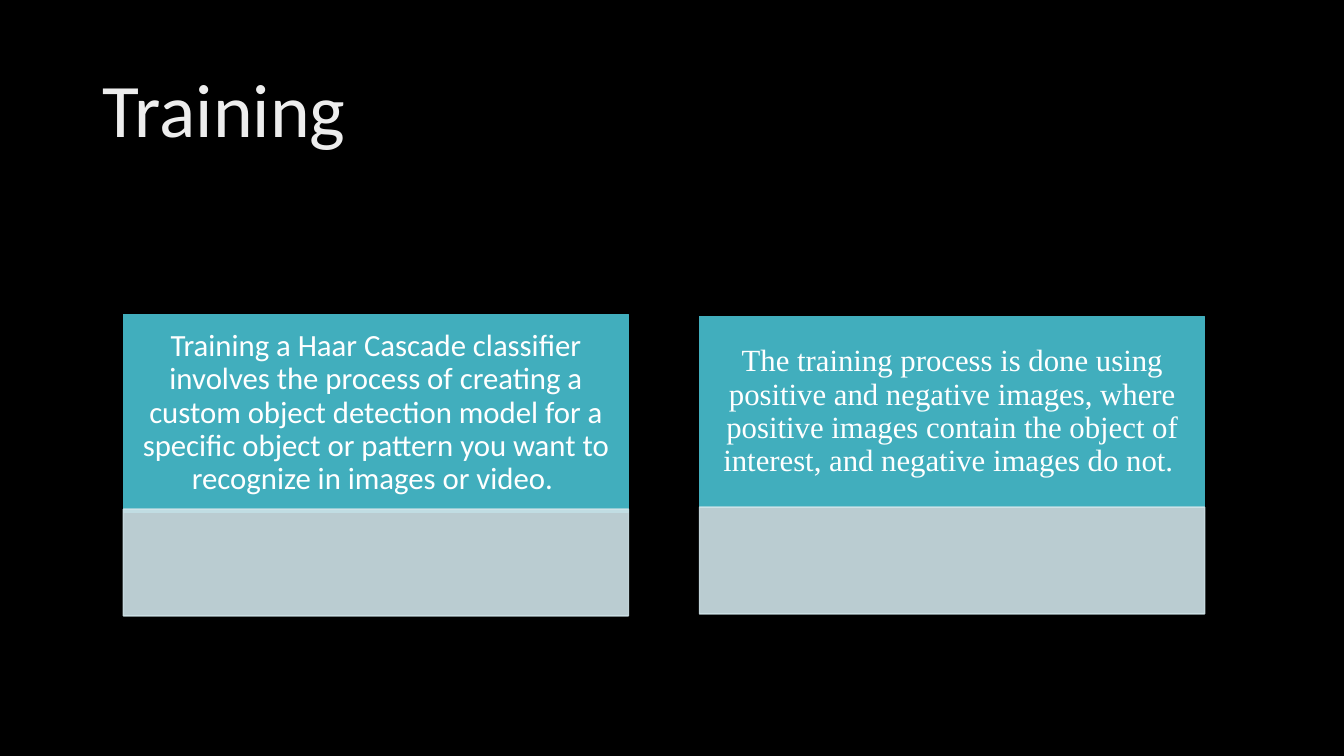
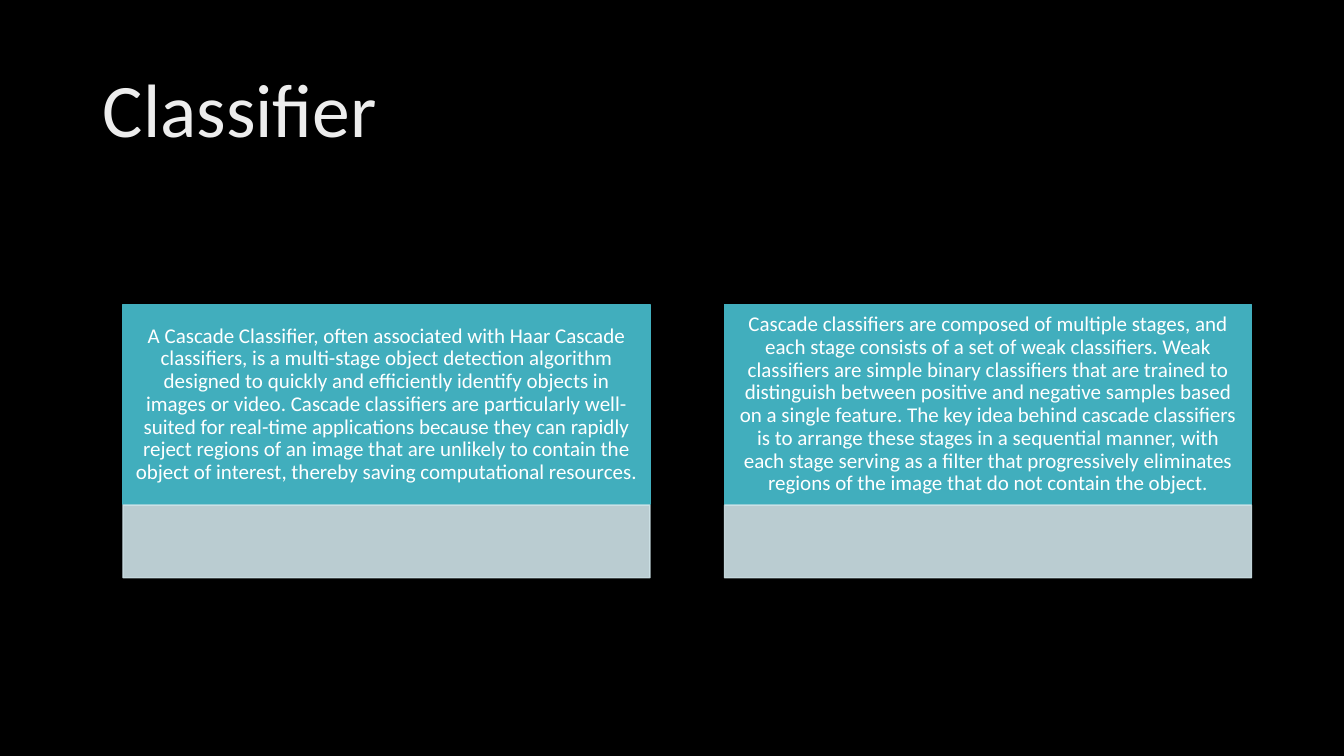
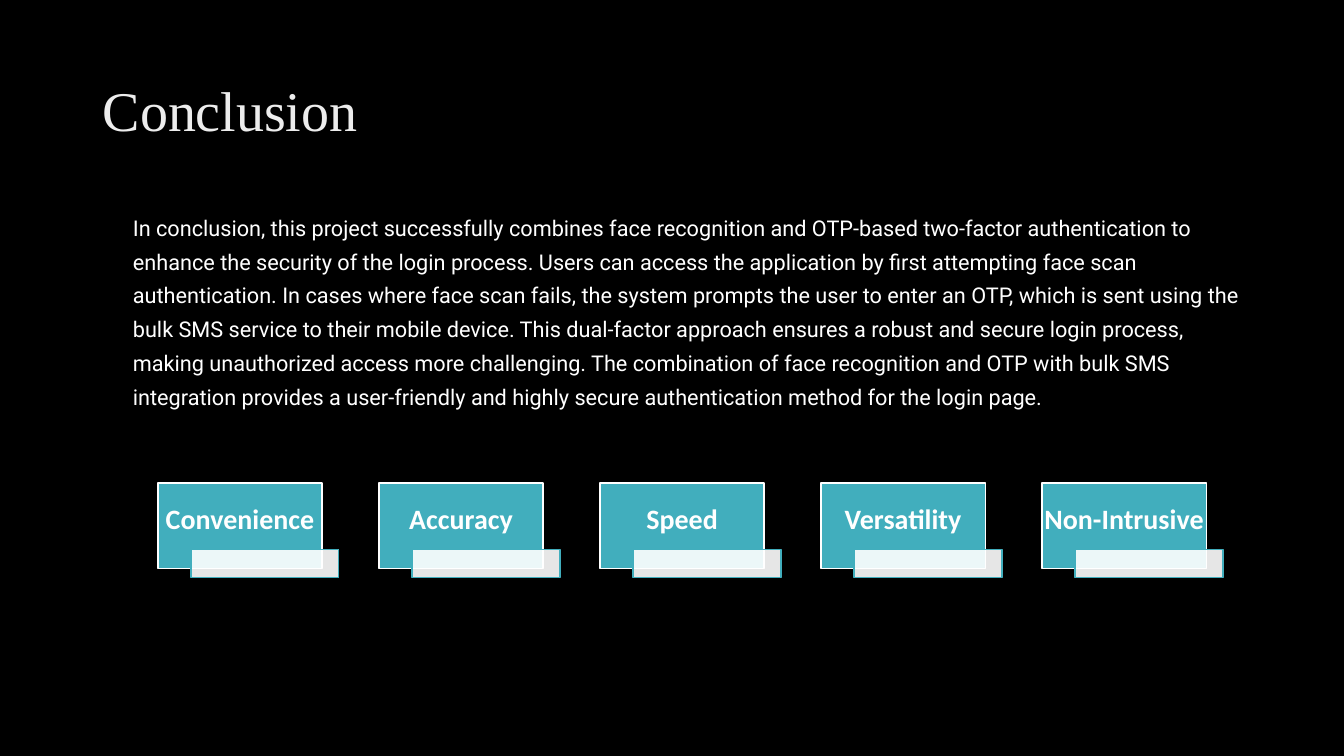
from dataclasses import dataclass

from lxml import etree
from pptx import Presentation
from pptx.dml.color import RGBColor
from pptx.enum.shapes import MSO_SHAPE
from pptx.enum.text import MSO_ANCHOR, PP_ALIGN
from pptx.oxml.ns import qn
from pptx.util import Cm, Pt

BLACK = RGBColor(0x00, 0x00, 0x00)
WHITE = RGBColor(0xFF, 0xFF, 0xFF)
TITLE_GREY = RGBColor(0xED, 0xED, 0xED)
TEAL = RGBColor(0x41, 0xAE, 0xBD)
PALE_TEAL = RGBColor(0xCF, 0xE3, 0xE8)

RECTANGLE = MSO_SHAPE.RECTANGLE
MIDDLE = MSO_ANCHOR.MIDDLE
CENTER = PP_ALIGN.CENTER

SANS = "Calibri"
SERIF = "Times New Roman"
BODY_FONT = "Roboto"
BLANK_LAYOUT = 6
OPACITY = 90


@dataclass(frozen=True)
class Box:
    left: float
    top: float
    width: float
    height: float

    def lengths(self):
        return Cm(self.left), Cm(self.top), Cm(self.width), Cm(self.height)


@dataclass(frozen=True)
class TextStyle:
    size: float
    font: str = SANS
    color: RGBColor = WHITE
    bold: bool = False
    line_spacing: float = 0.9
    space_before: float = 0
    insets: tuple[float, float, float, float] = (0.25, 0.13, 0.25, 0.13)


@dataclass(frozen=True)
class Card:
    box: Box
    band_top: float
    band_height: float
    text: str
    style: TextStyle


TITLE_BOX = Box(2.34, 1.02, 29.21, 3.68)
BODY_BOX = Box(3.1, 5.08, 28.42, 5.87)
BODY_STYLE = TextStyle(15.5, BODY_FONT, line_spacing=1.3, space_before=10)

LARGE_INSETS = (0.43, 0.25, 0.43, 0.25)
SMALL_CARD = TextStyle(15, insets=(0.3, 0.18, 0.3, 0.18))
BADGE_STYLE = TextStyle(20, bold=True, insets=(0.03, 0.03, 0.03, 0.3))

TRAINING_CARDS = [
    Card(
        Box(3.11, 7.92, 12.73, 4.98), 12.83, 2.69,
        "Training a Haar Cascade classifier involves the process of creating a "
        "custom object detection model for a specific object or pattern you "
        "want to recognize in images or video. ",
        TextStyle(22, insets=LARGE_INSETS),
    ),
    Card(
        Box(17.63, 7.98, 12.73, 4.8), 12.78, 2.69,
        "The training process is done using positive and negative images, where "
        "positive images contain the object of interest, and negative images "
        "do not. ",
        TextStyle(22, SERIF, insets=LARGE_INSETS),
    ),
]

CLASSIFIER_TEXTS = [
    "A Cascade Classifier, often associated with Haar Cascade classifiers, is a "
    "multi-stage object detection algorithm designed to quickly and efficiently "
    "identify objects in images or video. Cascade classifiers are particularly "
    "well-suited for real-time applications because they can rapidly reject "
    "regions of an image that are unlikely to contain the object of interest, "
    "thereby saving computational resources.",
    "Cascade classifiers are composed of multiple stages, and each stage consists "
    "of a set of weak classifiers. Weak classifiers are simple binary classifiers "
    "that are trained to distinguish between positive and negative samples based "
    "on a single feature. The key idea behind cascade classifiers is to arrange "
    "these stages in a sequential manner, with each stage serving as a filter "
    "that progressively eliminates regions of the image that do not contain the "
    "object.",
]
CLASSIFIER_CARDS = [
    Card(Box(3.1 + 15.16 * index, 7.67, 13.28, 5.05), 12.73, 1.83, text, SMALL_CARD)
    for index, text in enumerate(CLASSIFIER_TEXTS)
]

CONCLUSION = (
    "In conclusion, this project successfully combines face recognition and "
    "OTP-based two-factor authentication to enhance the security of the login "
    "process. Users can access the application by first attempting face scan "
    "authentication. In cases where face scan fails, the system prompts the user "
    "to enter an OTP, which is sent using the bulk SMS service to their mobile "
    "device. This dual-factor approach ensures a robust and secure login process, "
    "making unauthorized access more challenging. The combination of face "
    "recognition and OTP with bulk SMS integration provides a user-friendly and "
    "highly secure authentication method for the login page."
)
BENEFITS = ["Convenience", "Accuracy", "Speed", "Versatility", "Non-Intrusive"]
BADGE_LEFT = 3.98
BADGE_PITCH = 5.57
TAB_OFFSET = 0.83


def write_text(shape, text: str, style: TextStyle, alignment=None, anchor=None) -> None:
    frame = shape.text_frame
    frame.word_wrap = True
    frame.vertical_anchor = anchor
    left, top, right, bottom = style.insets
    frame.margin_left, frame.margin_top = Cm(left), Cm(top)
    frame.margin_right, frame.margin_bottom = Cm(right), Cm(bottom)
    paragraph = frame.paragraphs[0]
    paragraph.text = text
    paragraph.alignment = alignment
    paragraph.line_spacing = style.line_spacing
    paragraph.space_before = Pt(style.space_before)
    paragraph.font.name = style.font
    paragraph.font.size = Pt(style.size)
    paragraph.font.bold = style.bold
    paragraph.font.color.rgb = style.color


def add_textbox(slide, box: Box, text: str, style: TextStyle, anchor=None) -> None:
    write_text(slide.shapes.add_textbox(*box.lengths()), text, style, anchor=anchor)


def add_rectangle(slide, box: Box, fill: RGBColor, line: RGBColor):
    shape = slide.shapes.add_shape(RECTANGLE, *box.lengths())
    shape.shadow.inherit = False
    shape.fill.solid()
    shape.fill.fore_color.rgb = fill
    shape.line.color.rgb = line
    shape.line.width = Pt(1)
    return shape


def set_opacity(color_parent, percent: int) -> None:
    for color in color_parent.iter(qn("a:srgbClr")):
        etree.SubElement(color, qn("a:alpha")).set("val", str(percent * 1000))


def add_card(slide, card: Card) -> None:
    panel = add_rectangle(slide, card.box, TEAL, TEAL)
    write_text(panel, card.text, card.style, CENTER, MIDDLE)
    band_box = Box(card.box.left, card.band_top, card.box.width, card.band_height)
    band = add_rectangle(slide, band_box, PALE_TEAL, PALE_TEAL)
    set_opacity(band.element.spPr, OPACITY)


def add_badge(slide, left: float, label: str) -> None:
    badge = add_rectangle(slide, Box(left, 12.17, 4.14, 2.16), TEAL, WHITE)
    write_text(badge, label, BADGE_STYLE, CENTER, MIDDLE)
    tab_box = Box(left + TAB_OFFSET, 13.84, 3.73, 0.71)
    tab = add_rectangle(slide, tab_box, WHITE, TEAL)
    set_opacity(tab.element.spPr.find(qn("a:solidFill")), OPACITY)


def add_slide(presentation, title: str, size: float = 54, font: str = SANS):
    slide = presentation.slides.add_slide(presentation.slide_layouts[BLANK_LAYOUT])
    slide.background.fill.solid()
    slide.background.fill.fore_color.rgb = BLACK
    add_textbox(slide, TITLE_BOX, title, TextStyle(size, font, TITLE_GREY), MIDDLE)
    return slide


def main() -> None:
    presentation = Presentation()
    presentation.slide_width = Cm(33.87)
    presentation.slide_height = Cm(19.05)

    for title, cards in (("Training", TRAINING_CARDS), ("Classifier", CLASSIFIER_CARDS)):
        slide = add_slide(presentation, title)
        for card in cards:
            add_card(slide, card)

    slide = add_slide(presentation, "Conclusion", 40, SERIF)
    add_textbox(slide, BODY_BOX, CONCLUSION, BODY_STYLE)
    for index, benefit in enumerate(BENEFITS):
        add_badge(slide, BADGE_LEFT + BADGE_PITCH * index, benefit)

    presentation.save("out.pptx")


if __name__ == "__main__":
    main()
